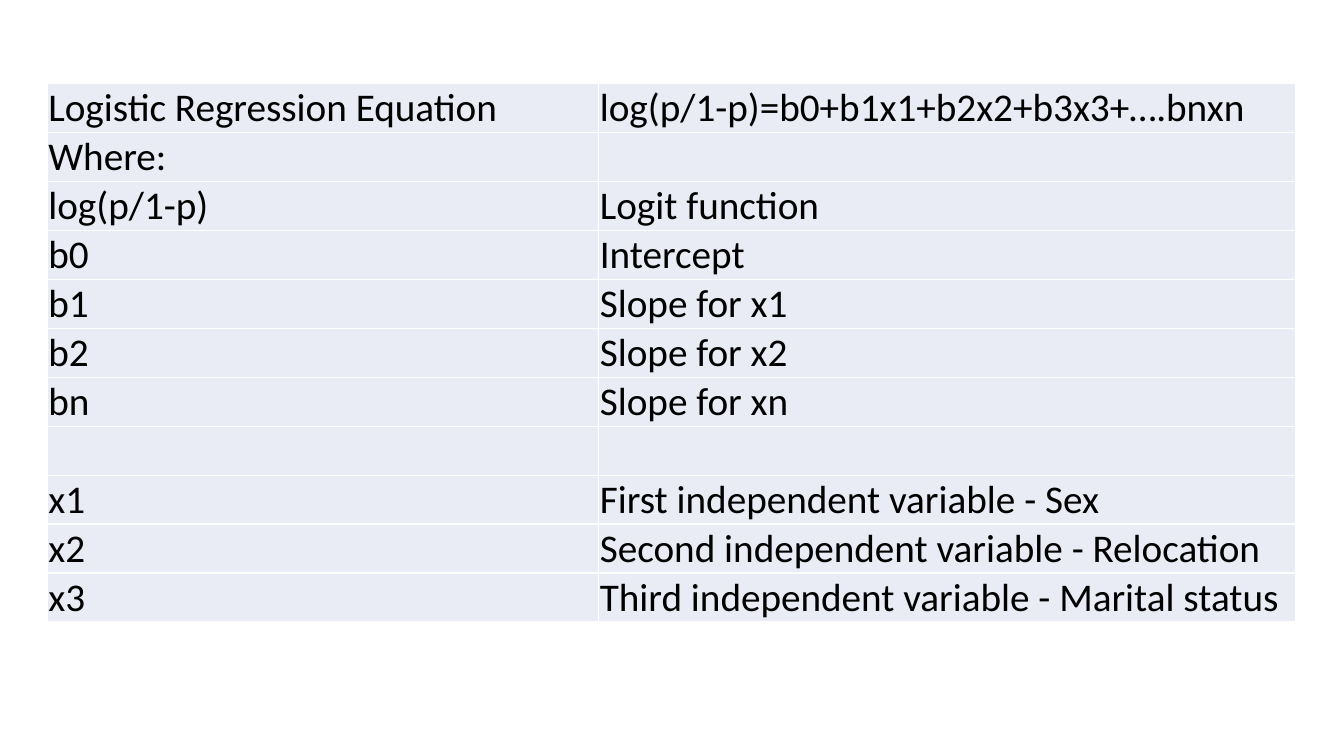
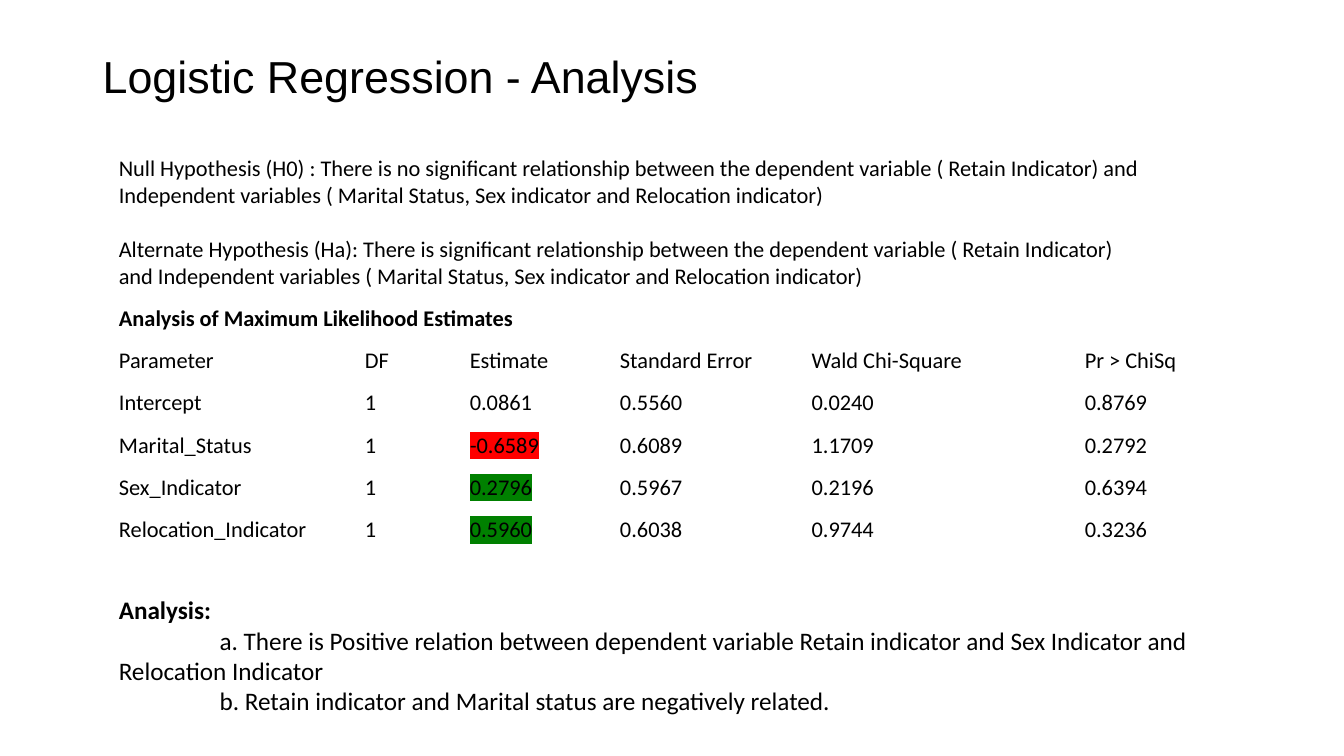
from dataclasses import dataclass

from lxml import etree
from pptx import Presentation
from pptx import util as u
from pptx.dml import color
from pptx.enum import text
from pptx.oxml import ns


@dataclass(frozen=True)
class Theme:
    ink: str = "000000"
    cell: str = "E9EBF5"
    negative: str = "FF0000"
    positive: str = "008000"
    title_font: str = "Arial"
    body_font: str = "Calibri"
    equation_size: int = 28
    title_size: int = 32
    body_size: int = 16
    analysis_size: int = 18


THEME = Theme()

EQUATION_TERMS = [
    ("Logistic Regression Equation", "log(p/1-p)=b0+b1x1+b2x2+b3x3+….bnxn"),
    ("Where:", ""),
    ("log(p/1-p)", "Logit function"),
    ("b0", "Intercept"),
    ("b1", "Slope for x1"),
    ("b2", "Slope for x2"),
    ("bn", "Slope for xn"),
    ("", ""),
    ("x1", "First independent variable - Sex"),
    ("x2", "Second independent variable - Relocation"),
    ("x3", "Third independent variable - Marital status"),
]

HYPOTHESES = [
    "Null Hypothesis (H0) : There is no significant relationship between the dependent variable "
    "( Retain Indicator) and Independent variables ( Marital Status, Sex indicator and Relocation indicator)",
    "Alternate Hypothesis (Ha): There is significant relationship between the dependent variable "
    "( Retain Indicator) and Independent variables ( Marital Status, Sex indicator and Relocation indicator)",
]

ESTIMATES = [
    ("Analysis of Maximum Likelihood Estimates", "", "", "", "", ""),
    ("Parameter", "DF", "Estimate", "Standard Error", "Wald Chi-Square", "Pr > ChiSq"),
    ("Intercept", "1", "0.0861", "0.5560", "0.0240", "0.8769"),
    ("Marital_Status", "1", "-0.6589", "0.6089", "1.1709", "0.2792"),
    ("Sex_Indicator", "1", "0.2796", "0.5967", "0.2196", "0.6394"),
    ("Relocation_Indicator", "1", "0.5960", "0.6038", "0.9744", "0.3236"),
]

FINDINGS = [
    "a. There is Positive relation between dependent variable Retain indicator and "
    "Sex Indicator and Relocation Indicator",
    "b. Retain indicator and Marital status are negatively related.",
]


# Shared helpers
def style(para, size, font=THEME.body_font, bold=False):
    para.font.name = font
    para.font.size = u.Pt(size)
    para.font.bold = bold
    para.font.color.rgb = color.RGBColor.from_string(THEME.ink)


def highlight(para, rgb):
    span = para.runs[0]
    mark = etree.SubElement(span.font._element, ns.qn("a:highlight"))
    etree.SubElement(mark, ns.qn("a:srgbClr"), val=rgb)


def add_text(page, area, lines, size, font=THEME.body_font):
    box = page.shapes.add_textbox(*map(u.Inches, area))
    frame = box.text_frame
    frame.word_wrap = True
    frame.text = "\n".join(lines)
    for para in frame.paragraphs:
        style(para, size, font)
    return frame


def add_grid(page, left, top, widths, row_height, rows, size, anchor, fill=None):
    box = page.shapes.add_table(
        len(rows), len(widths), u.Inches(left), u.Inches(top),
        u.Inches(sum(widths)), u.Inches(row_height * len(rows)))
    table = box.table
    table.first_row = table.horz_banding = False
    for column, width in zip(table.columns, widths):
        column.width = u.Inches(width)
    for row, values in zip(table.rows, rows):
        row.height = u.Inches(row_height)
        for cell, value in zip(row.cells, values):
            cell.text = value
            cell.vertical_anchor = anchor
            style(cell.text_frame.paragraphs[0], size)
            if fill:
                cell.fill.solid()
                cell.fill.fore_color.rgb = color.RGBColor.from_string(fill)
            else:
                cell.fill.background()
    return table


# Slide 1: equation and its terms
def equation_slide(page):
    table = add_grid(page, 0.47, 0.83, [5.47, 6.91], 0.48, EQUATION_TERMS,
                     THEME.equation_size, text.MSO_ANCHOR.BOTTOM, THEME.cell)
    for cell in table.iter_cells():
        cell.margin_left = cell.margin_right = cell.margin_top = u.Inches(0.01)
        cell.margin_bottom = 0


# Slide 2: title, hypotheses, estimates and findings
def add_title(page, area, title):
    frame = add_text(page, area, [title], THEME.title_size, THEME.title_font)
    frame.vertical_anchor = text.MSO_ANCHOR.MIDDLE
    frame.paragraphs[0].line_spacing = 0.9


def add_hypotheses(page, area):
    frame = add_text(page, area, HYPOTHESES, THEME.body_size)
    frame.paragraphs[0].space_after = u.Pt(19.5)


def add_estimates(page, left, top):
    table = add_grid(page, left, top, [2.44, 1.04, 1.49, 1.9, 2.71, 1.92], 0.42,
                     ESTIMATES, THEME.body_size, text.MSO_ANCHOR.MIDDLE)
    heading = table.cell(0, 0)
    heading.merge(table.cell(0, 5))
    heading.text_frame.paragraphs[0].font.bold = True
    # Mark the sign of each variable's estimate
    for row in range(3, len(ESTIMATES)):
        cell = table.cell(row, 2)
        negative = cell.text.startswith("-")
        highlight(cell.text_frame.paragraphs[0],
                  THEME.negative if negative else THEME.positive)


def add_findings(page, area):
    frame = add_text(page, area, ["Analysis:"] + FINDINGS, THEME.analysis_size)
    heading, *findings = frame.paragraphs
    heading.font.bold = True
    for para in findings:
        para._p.get_or_add_pPr().set("indent", str(u.Inches(1)))


def analysis_slide(page):
    left = 1.08
    add_title(page, (0.92, 0.4, 11.5, 0.76), "Logistic Regression - Analysis")
    add_estimates(page, left, 2.95)
    add_hypotheses(page, (left, 1.48, 10.43, 1.82))
    add_findings(page, (left, 5.85, 11.17, 1.31))


def main():
    deck = Presentation()
    deck.slide_width, deck.slide_height = u.Inches(13.33), u.Inches(7.5)
    for build in (equation_slide, analysis_slide):
        build(deck.slides.add_slide(deck.slide_layouts[6]))
    deck.save("out.pptx")


if __name__ == "__main__":
    main()
